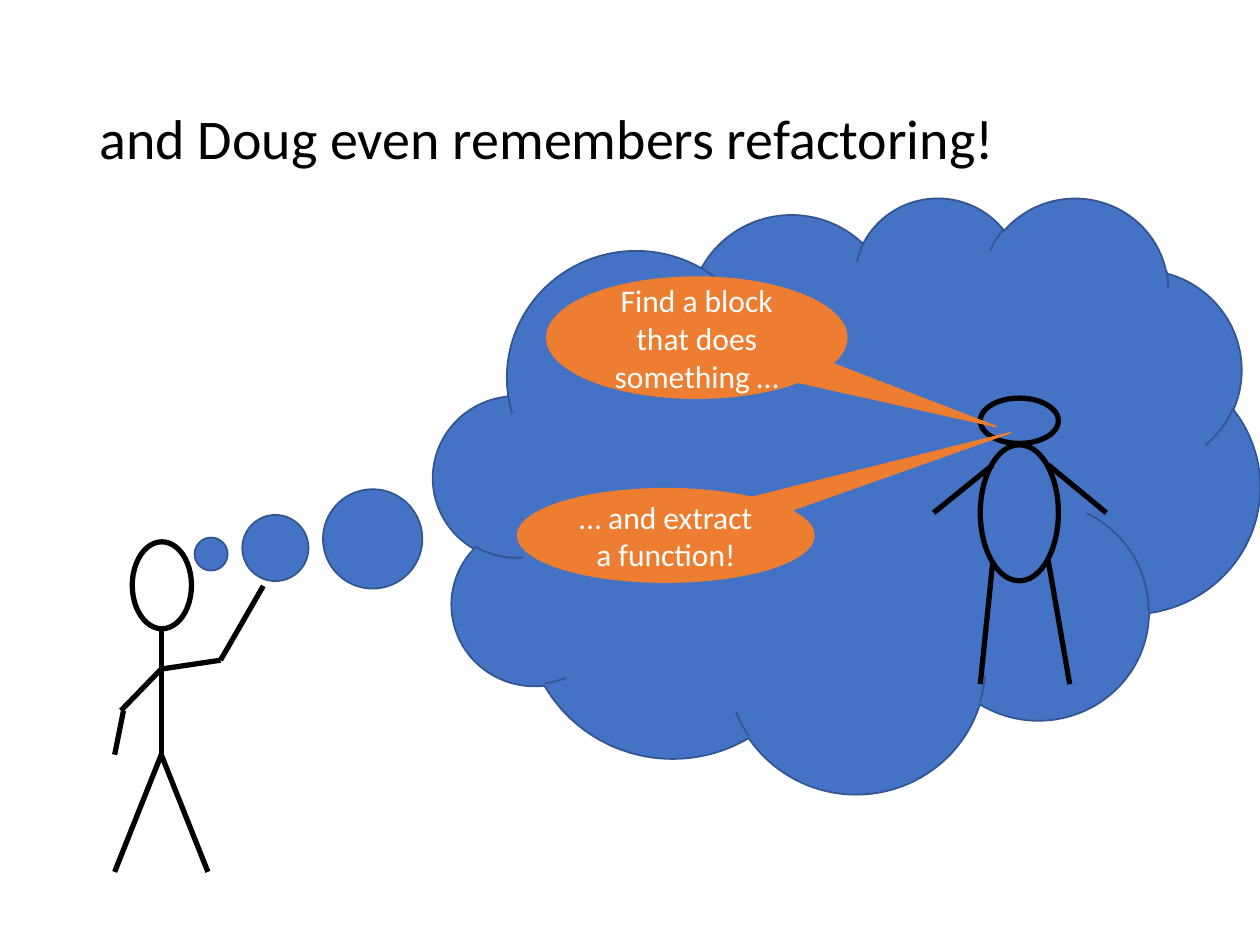
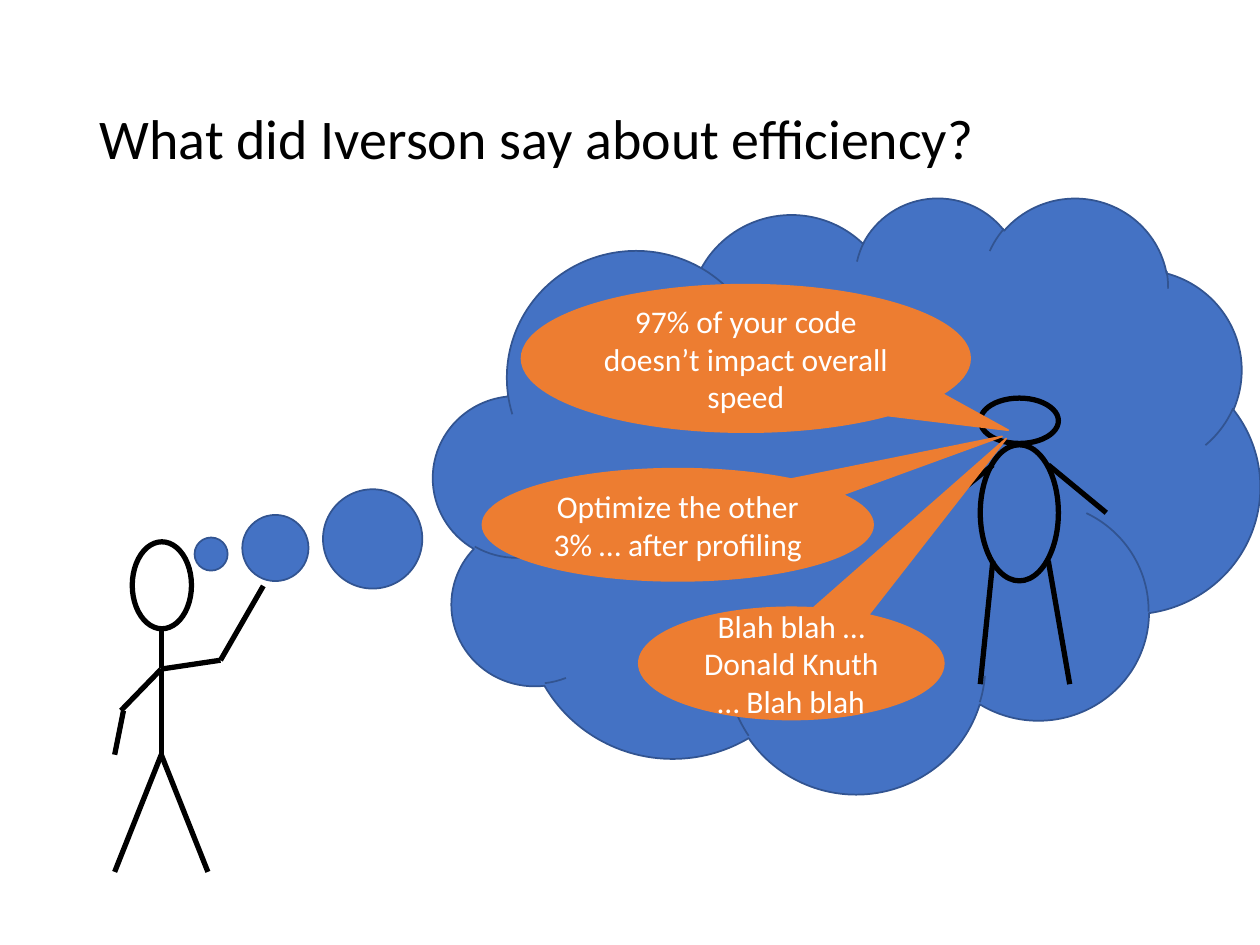
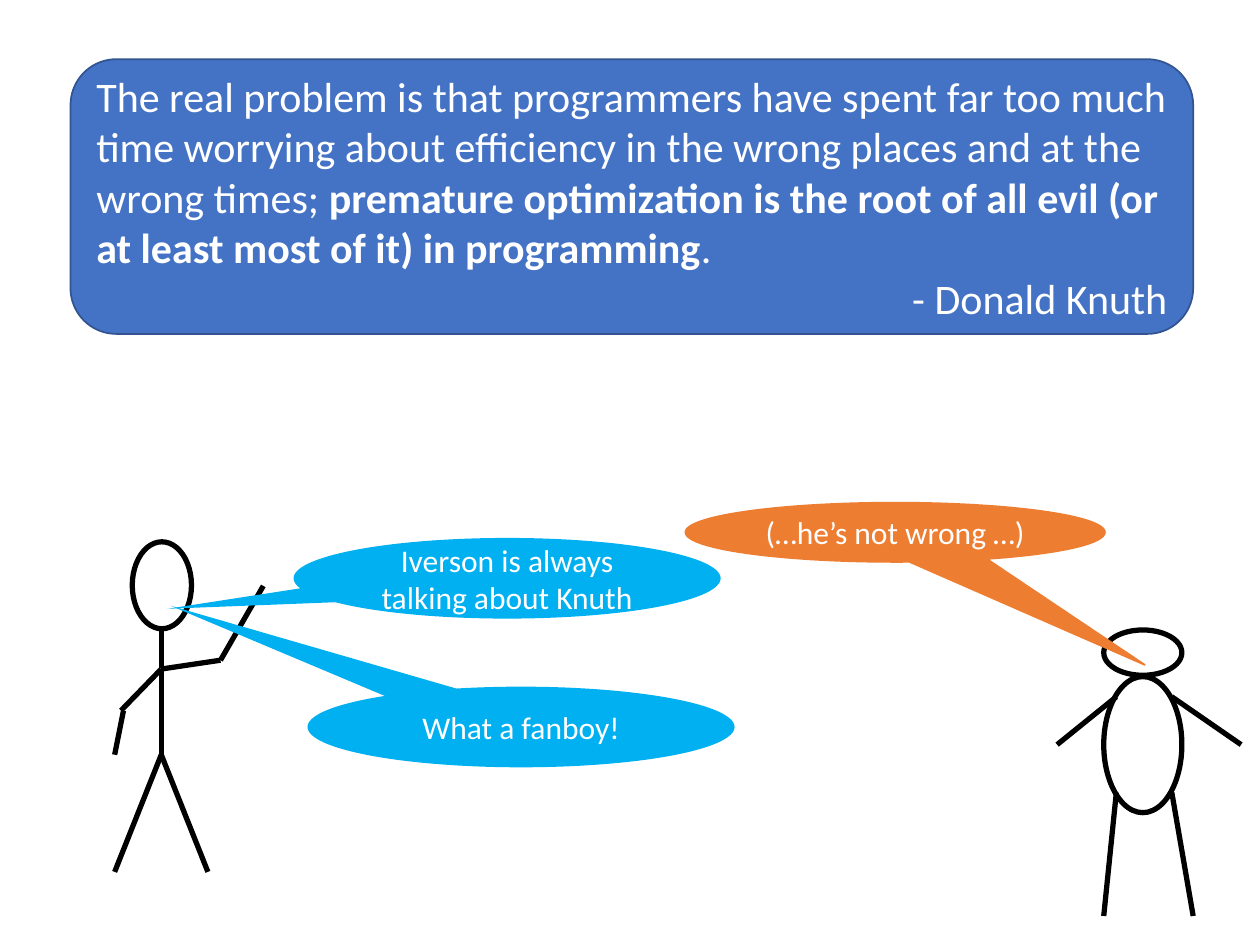
from typing import NamedTuple

from lxml.etree import SubElement
from pptx import Presentation
from pptx.dml.color import RGBColor as Rgb
from pptx.enum.shapes import MSO_CONNECTOR as Link, MSO_SHAPE as Kind
from pptx.enum.text import MSO_ANCHOR as Anchor, PP_ALIGN as Align
from pptx.oxml.ns import qn
from pptx.util import Inches, Pt

HUES = {"ink": "000000", "paper": "FFFFFF", "blue": "4472C4",
        "edge": "325491", "orange": "ED7D31", "sky": "00B0F0"}
FONT = "Calibri"


class Box(NamedTuple):
    left: float
    top: float
    width: float
    height: float


class Limb(NamedTuple):
    x1: float
    y1: float
    x2: float
    y2: float


class Speech(NamedTuple):
    box: Box
    tail: tuple[float, float]
    text: str
    fill: str = "orange"
    line: str | None = "orange"


DOUG_HEAD = Box(1.05, 4.3, 0.47, 0.69)
DOUG_LIMBS = [
    Limb(1.28, 4.99, 1.28, 5.3), Limb(1.28, 5.31, 1.28, 5.99),
    Limb(1.28, 5.99, 1.65, 6.92), Limb(1.28, 5.99, 0.91, 6.92),
    Limb(1.75, 5.24, 1.28, 5.31), Limb(2.09, 4.65, 1.75, 5.24),
    Limb(1.28, 5.31, 0.96, 5.64), Limb(0.98, 5.64, 0.91, 5.99),
]
CLOUD = Box(3.44, 1.56, 6.56, 4.73)
SCENES = {
    "and Doug even remembers refactoring!": [
        Speech(Box(4.11, 3.88, 2.35, 0.74), (1.163, -1.102),
               "… and extract a function!"),
        Speech(Box(4.34, 2.2, 2.38, 0.96), (0.997, 0.735),
               "Find a block that does something …"),
    ],
    "What did Iverson say about efficiency?": [
        Speech(Box(4.14, 2.26, 3.56, 1.17), (0.585, 0.487),
               "97% of your code doesn’t impact overall speed"),
        Speech(Box(3.83, 3.72, 3.1, 0.89), (0.83, -0.788),
               "Optimize the other 3% … after profiling"),
        Speech(Box(5.07, 4.82, 2.42, 0.89), (0.705, -2.006),
               "Blah blah … Donald Knuth … Blah blah"),
    ],
}
BANTER = [
    Speech(Box(2.33, 4.27, 3.39, 0.64), (-0.795, 0.378),
           "Iverson is always talking about Knuth", "sky", None),
    Speech(Box(2.44, 5.45, 3.39, 0.64), (-0.82, -1.502),
           "What a fanboy!", "sky", None),
    Speech(Box(5.44, 3.99, 3.33, 0.47), (0.595, 2.238),
           "(…he’s not wrong …)"),
]
QUOTE = [
    ("The real problem is that programmers have spent far too much time "
     "worrying about efficiency in the wrong places and at the wrong times; ",
     False),
    ("premature optimization is the root of all evil (or at least most of it) "
     "in programming", True),
    (".", False),
]


def hue(name: str) -> Rgb:
    return Rgb.from_string(HUES[name])


def write(para, text: str, size: float = 18, color: str = "paper",
          bold: bool = False, align=Align.CENTER) -> None:
    para.alignment = align
    run = para.add_run()
    run.text = text
    run.font.name, run.font.size, run.font.bold = FONT, Pt(size), bold
    run.font.color.rgb = hue(color)


def draw(shapes, kind, box: Box, fill: str | None = None,
         line: str | None = "ink", width: float = 3, tail=()):
    shape = shapes.add_shape(kind, *map(Inches, box))
    shape.shadow.inherit = False
    if fill:
        shape.fill.solid()
        shape.fill.fore_color.rgb = hue(fill)
    else:
        shape.fill.background()
    if line:
        shape.line.color.rgb = hue(line)
        shape.line.width = Pt(width)
    else:
        shape.line.fill.background()
    for spot, value in enumerate(tail):
        shape.adjustments[spot] = value
    return shape


def figure(slide, rounds: list[Box], limbs: list[Limb]) -> None:
    group = slide.shapes.add_group_shape()
    for box in rounds:
        draw(group.shapes, Kind.OVAL, box)
    for limb in limbs:
        line = group.shapes.add_connector(Link.STRAIGHT, *map(Inches, limb))
        line.line.color.rgb = hue("ink")
        line.line.width = Pt(3)
        SubElement(line._element.spPr, qn("a:effectLst"))


def doug(slide) -> None:
    figure(slide, [DOUG_HEAD], DOUG_LIMBS)


def mentor(slide, x: float, y: float, reach: float) -> None:
    """Draw the second figure from its head's corner; reach is its right hand."""
    figure(slide, [Box(x, y, 0.62, 0.36), Box(x, y + 0.37, 0.62, 1.08)], [
        Limb(x + reach, y + 0.91, x + 0.54, y + 0.53),
        Limb(x - 0.37, y + 0.91, x + 0.1, y + 0.53),
        Limb(x + 0.1, y + 1.29, x, y + 2.27),
        Limb(x + 0.54, y + 1.29, x + 0.71, y + 2.27),
    ])


def speak(slide, item: Speech) -> None:
    shape = draw(slide.shapes, Kind.OVAL_CALLOUT, item.box, item.fill,
                 item.line, 1, item.tail)
    write(shape.text_frame.paragraphs[0], item.text)


def scene(deck, title: str, speech: list[Speech]) -> None:
    slide = deck.slides.add_slide(deck.slide_layouts[5])
    head = slide.shapes.title
    head.left, head.top = Inches(0.69), Inches(0.4)
    head.width, head.height = Inches(8.62), Inches(1.45)
    head.text_frame.vertical_anchor = Anchor.MIDDLE
    para = head.text_frame.paragraphs[0]
    para.line_spacing = 0.9
    write(para, title, size=32, color="ink", align=Align.LEFT)
    doug(slide)
    draw(slide.shapes, Kind.CLOUD_CALLOUT, CLOUD, "blue", "edge", 1,
         (-0.769, 0.1))
    mentor(slide, 7.78, 3.16, 1.0)
    for item in speech:
        speak(slide, item)


def finale(deck) -> None:
    slide = deck.slides.add_slide(deck.slide_layouts[6])
    panel = draw(slide.shapes, Kind.ROUNDED_RECTANGLE,
                 Box(0.56, 0.47, 8.91, 2.18), "blue", "edge", 1)
    frame = panel.text_frame
    for text, bold in QUOTE:
        write(frame.paragraphs[0], text, size=24, bold=bold, align=Align.LEFT)
    write(frame.add_paragraph(), "- Donald Knuth", size=24, align=Align.RIGHT)
    doug(slide)
    mentor(slide, 8.76, 5.0, 1.09)
    for item in BANTER:
        speak(slide, item)


def main() -> None:
    deck = Presentation()
    deck.slide_width, deck.slide_height = Inches(10), Inches(7.5)
    for title, speech in SCENES.items():
        scene(deck, title, speech)
    finale(deck)
    deck.save("out.pptx")


if __name__ == "__main__":
    main()
